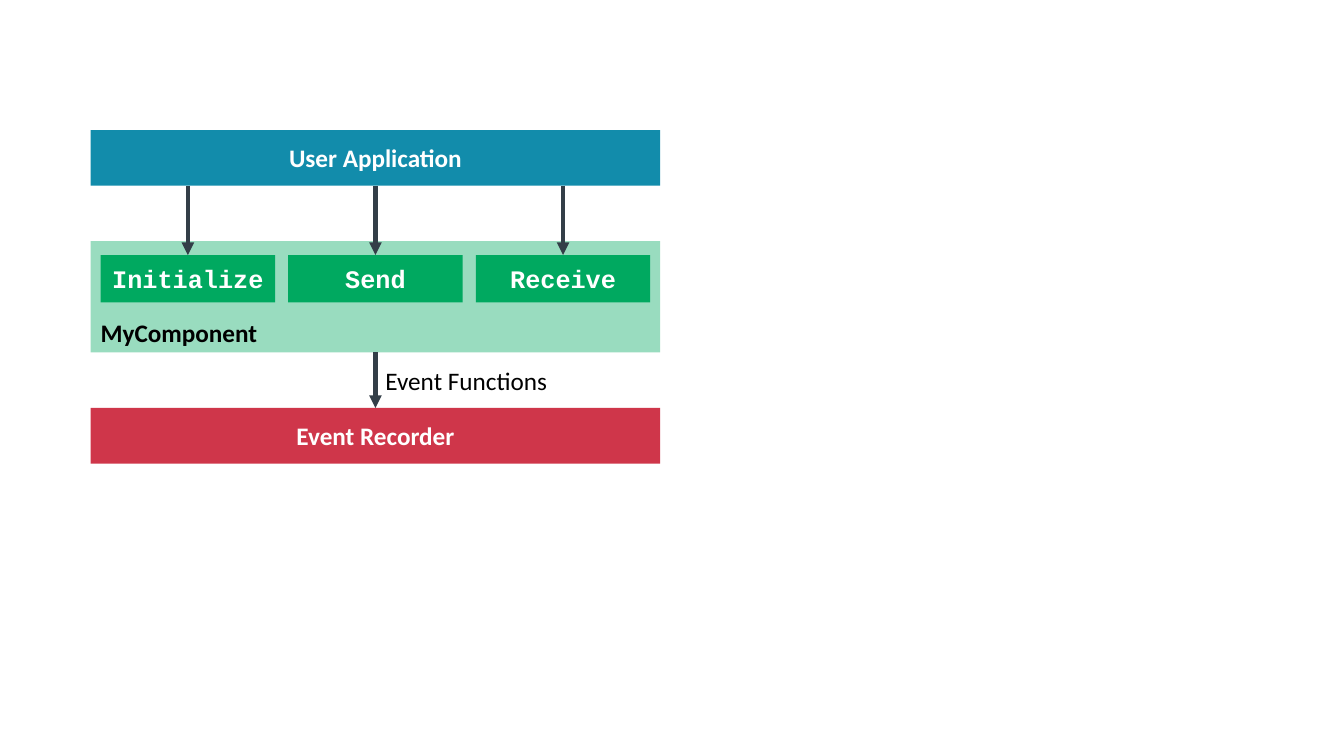
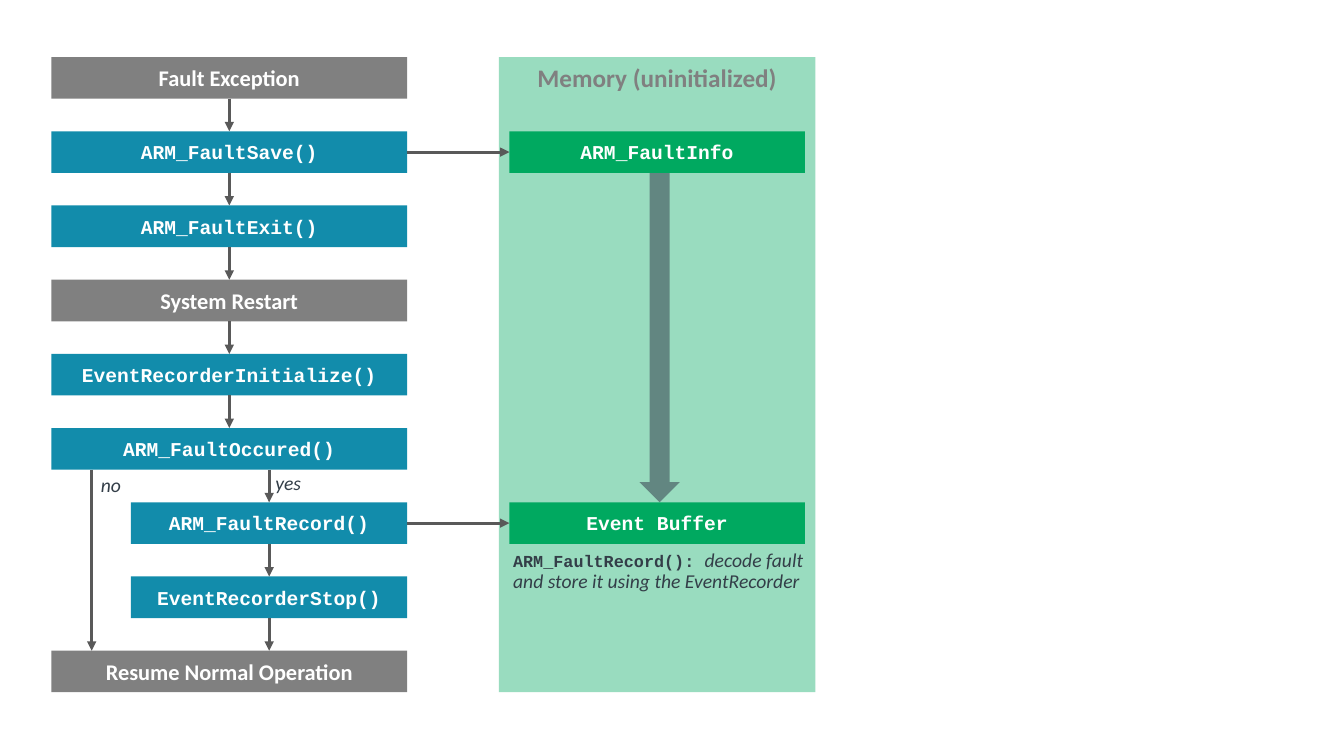
"""Builds two diagrams: the event recorder layers and the fault recording flow."""
from dataclasses import dataclass

from lxml import etree
from pptx import Presentation
from pptx.dml.color import RGBColor
from pptx.enum.shapes import MSO_CONNECTOR, MSO_SHAPE
from pptx.enum.text import MSO_ANCHOR, MSO_AUTO_SIZE, PP_ALIGN
from pptx.oxml.ns import qn
from pptx.util import Pt

RECT, DOWN_ARROW = MSO_SHAPE.RECTANGLE, MSO_SHAPE.DOWN_ARROW
STRAIGHT = MSO_CONNECTOR.STRAIGHT
LEFT, CENTER = PP_ALIGN.LEFT, PP_ALIGN.CENTER
TOP, MIDDLE, BOTTOM = MSO_ANCHOR.TOP, MSO_ANCHOR.MIDDLE, MSO_ANCHOR.BOTTOM
GROW = MSO_AUTO_SIZE.SHAPE_TO_FIT_TEXT
SITE_TOP, SITE_LEFT, SITE_BOTTOM, SITE_RIGHT = range(4)


@dataclass(frozen=True)
class Theme:
    blue: str = "128CAB"
    green: str = "00A960"
    red: str = "CF364A"
    gray: str = "808080"
    slate: str = "333E48"
    line: str = "595959"
    flow: str = "628681"
    white: str = "FFFFFF"
    black: str = "000000"
    sans: str = "Calibri"
    mono: str = "Courier New"
    large: int = 18
    step: int = 16
    small: int = 14
    note: int = 12
    panel_alpha: int = 40
    space_after: int = 6


T = Theme()

APPLICATION, COMPONENT, RECORDER = "User Application", "MyComponent", "Event Recorder"
FUNCTIONS = ["Initialize", "Send", "Receive"]
EVENT_LABEL = "Event Functions"

STEPS = [
    ("Fault Exception", "state"),
    ("ARM_FaultSave()", "call"),
    ("ARM_FaultExit()", "call"),
    ("System Restart", "state"),
    ("EventRecorderInitialize()", "call"),
    ("ARM_FaultOccured()", "call"),
    ("ARM_FaultRecord()", "branch"),
    ("EventRecorderStop()", "branch"),
    ("Resume Normal Operation", "state"),
]
CHECK_ROW, RESUME_ROW = 5, 8
MEMORY = "Memory (uninitialized)"
STORES = [(1, "ARM_FaultInfo"), (6, "Event Buffer")]
ANSWERS = [("yes", 196.6, 338.4), ("no", 72, 339.8)]
NOTE_CALL = "ARM_FaultRecord(): "
NOTE_TEXT = "decode fault and store it using the EventRecorder"


def style_run(r, size, color, font=T.sans, bold=False, italic=False):
    r.font.name, r.font.size = font, Pt(size)
    r.font.bold, r.font.italic = bold, italic
    r.font.color.rgb = RGBColor.from_string(color)


def add_box(slide, box, text, fill, size, color=T.white, font=T.sans,
            align=CENTER, anchor=MIDDLE, alpha=None, shape=RECT):
    sp = slide.shapes.add_shape(shape, *map(Pt, box))
    sp.shadow.inherit = False
    sp.line.fill.background()
    sp.fill.solid()
    sp.fill.fore_color.rgb = RGBColor.from_string(fill)
    if alpha:
        srgb = sp.fill._xPr.find(qn("a:solidFill"))[0]
        etree.SubElement(srgb, qn("a:alpha")).set("val", str(alpha * 1000))
    if text:
        tf = sp.text_frame
        tf.word_wrap, tf.vertical_anchor = True, anchor
        p = tf.paragraphs[0]
        p.text, p.alignment, p.space_after = text, align, Pt(T.space_after)
        style_run(p.runs[0], size, color, font, bold=True)
    return sp


def add_text(slide, box, texts, inset=True):
    """Adds a text box from (text, run style) pairs."""
    tf = slide.shapes.add_textbox(*map(Pt, box)).text_frame
    tf.word_wrap, tf.auto_size = True, GROW
    p = tf.paragraphs[0]
    if not inset:
        tf.margin_left = tf.margin_right = tf.margin_top = tf.margin_bottom = 0
        p.line_spacing, p.space_after = 0.9, Pt(T.space_after)
    for text, style in texts:
        r = p.add_run()
        r.text = text
        style_run(r, **style)


def add_arrow(slide, a, b, color, weight, x=None, across=False):
    """Draws an arrow from a to b, joined wherever it meets the middle of a side."""
    if across:
        start = a.left + a.width, a.top + a.height // 2
        end = b.left, b.top + b.height // 2
        sites, joined = (SITE_RIGHT, SITE_LEFT), (True, True)
    else:
        x = b.left + b.width // 2 if x is None else Pt(x)
        start, end = (x, a.top + a.height), (x, b.top)
        sites = SITE_BOTTOM, SITE_TOP
        joined = [abs(x - s.left - s.width // 2) < Pt(1) for s in (a, b)]
    line = slide.shapes.add_connector(STRAIGHT, *start, *end)
    if joined[0]:
        line.begin_connect(a, sites[0])
    if joined[1]:
        line.end_connect(b, sites[1])
    line.line.color.rgb = RGBColor.from_string(color)
    line.line.width = Pt(weight)
    etree.SubElement(line.line._get_or_add_ln(), qn("a:tailEnd")).set("type", "triangle")
    etree.SubElement(line._element.spPr, qn("a:effectLst"))


def build_layers(slide):
    left, top, width, unit = 64.8, 92.9, 406.8, 39.7
    func_w, func_h, pitch = 124.6, 33.8, 134
    center = left + width / 2

    application = add_box(slide, (left, top, width, unit), APPLICATION, T.blue, T.large)
    component = add_box(slide, (left, top + 2 * unit, width, 2 * unit), COMPONENT, T.green,
                        T.large, T.black, align=LEFT, anchor=BOTTOM, alpha=T.panel_alpha)
    recorder = add_box(slide, (left, top + 5 * unit, width, unit), RECORDER, T.red, T.large)
    for i, name in enumerate(FUNCTIONS):
        x = center + (i - 1) * pitch - func_w / 2
        function = add_box(slide, (x, 182.2, func_w, func_h), name, T.green, T.large,
                           font=T.mono)
        add_arrow(slide, application, function, T.slate, 3)
    add_arrow(slide, component, recorder, T.slate, 3)
    add_text(slide, (center, 257.2, width / 2, 29),
             [(EVENT_LABEL, dict(size=T.large, color=T.black))])


def build_fault_flow(slide):
    left, top, width, height, pitch = 36.7, 40.8, 254.2, 29.7, 53
    indent = 56.9
    panel_x, panel_w, margin = 356.4, 226, 7.5
    kinds = {
        "state": (0, T.gray, T.step, T.sans),
        "call": (0, T.blue, T.small, T.mono),
        "branch": (indent, T.blue, T.small, T.mono),
    }

    add_box(slide, (panel_x, top, panel_w, RESUME_ROW * pitch + height), MEMORY, T.green,
            T.large, T.gray, anchor=TOP, alpha=T.panel_alpha)

    steps = []
    for row, (text, kind) in enumerate(STEPS):
        shift, fill, size, font = kinds[kind]
        box = left + shift, top + row * pitch, width - shift, height
        steps.append(add_box(slide, box, text, fill, size, font=font))
    branch_x = left + (width + indent) / 2
    for row, (a, b) in enumerate(zip(steps, steps[1:])):
        add_arrow(slide, a, b, T.line, 2.25, x=branch_x if row >= CHECK_ROW else None)
    add_arrow(slide, steps[CHECK_ROW], steps[RESUME_ROW], T.line, 2.25, x=65.5)

    first, last = (top + row * pitch for row, _ in STORES)
    add_box(slide, (456.8, first + height, 28.8, last - first - height), "", T.flow, 0,
            shape=DOWN_ARROW)
    for row, name in STORES:
        box = panel_x + margin, top + row * pitch, panel_w - 2 * margin, height
        store = add_box(slide, box, name, T.green, T.small, font=T.mono)
        add_arrow(slide, steps[row], store, T.line, 2.25, across=True)

    remark = dict(size=T.small, color=T.slate, italic=True)
    for text, x, y in ANSWERS:
        add_text(slide, (x, y, 21, 15), [(text, remark)], inset=False)
    call = dict(size=T.note, color=T.slate, font=T.mono, bold=True)
    add_text(slide, (366.5, 393.1, 214.6, 30.2), [(NOTE_CALL, call), (NOTE_TEXT, remark)],
             inset=False)


def main():
    prs = Presentation()
    prs.slide_width, prs.slide_height = Pt(960), Pt(540)
    blank = prs.slide_layouts[6]
    for build in (build_layers, build_fault_flow):
        build(prs.slides.add_slide(blank))
    prs.save("out.pptx")


if __name__ == "__main__":
    main()
